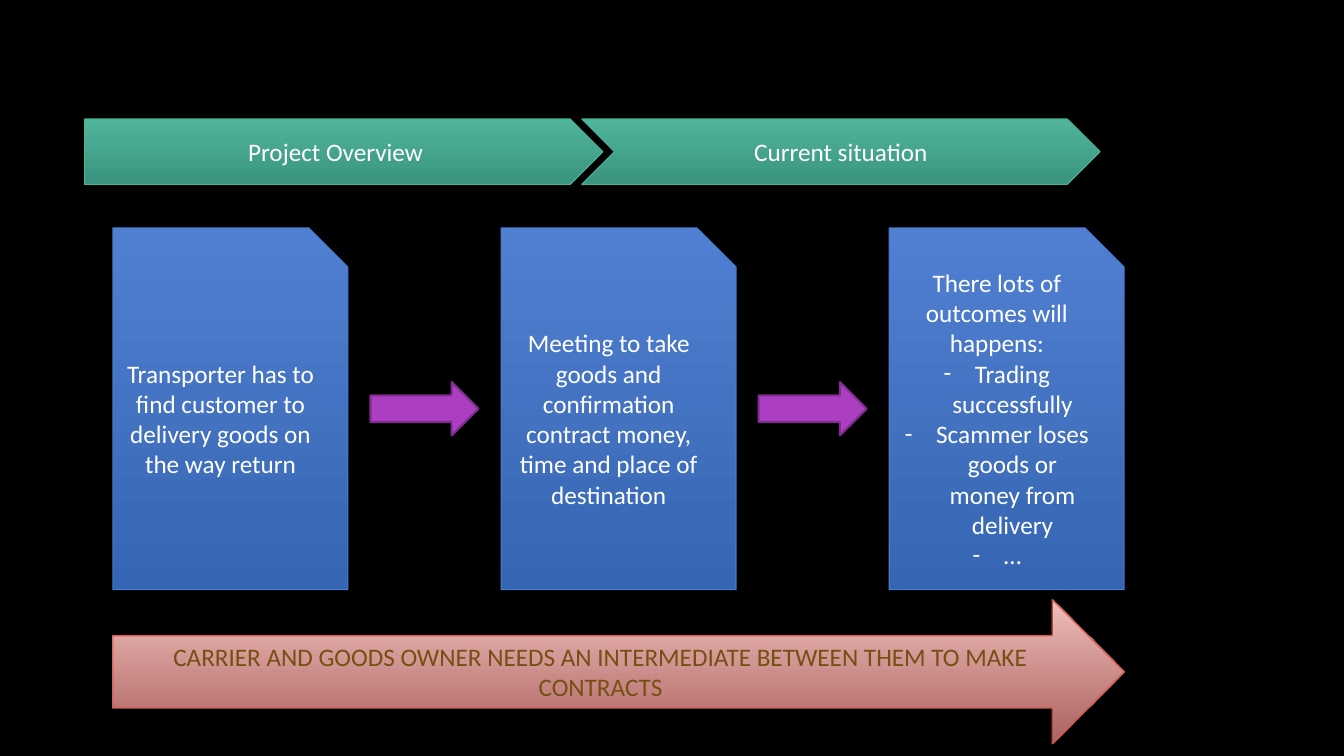
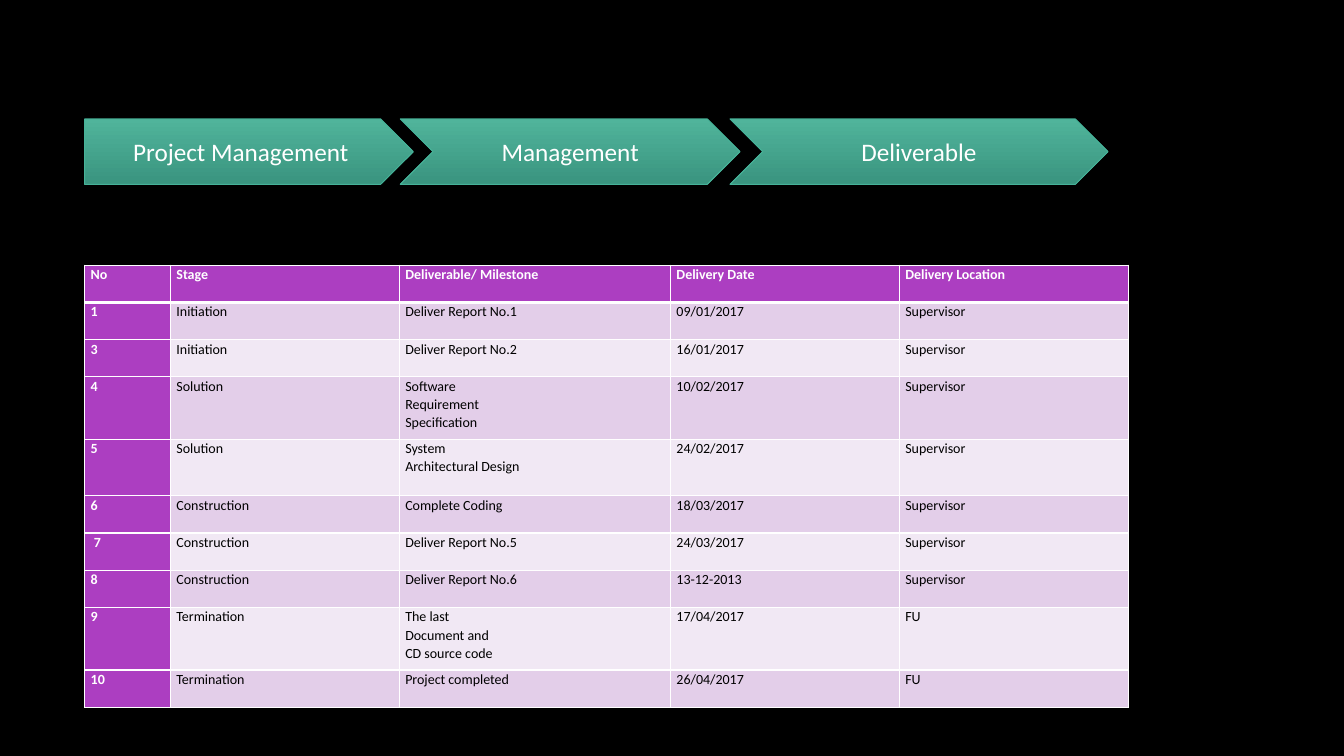
from lxml import etree
from pptx import Presentation
from pptx.dml.color import RGBColor
from pptx.enum import shapes, text
from pptx.oxml.ns import qn
from pptx.util import Inches, Pt

COLORS = {
    "back": "000000", "white": "FFFFFF", "black": "000000",
    "band_top": "50B49B", "band_low": "3A947F", "band_line": "46B298",
    "card_top": "5180D2", "card_low": "3665B3", "card_line": "477BD1",
    "need_top": "F2C2C0", "need_low": "E88985", "need_line": "E25247",
    "need_text": "745013", "purple": "AC3EC1", "purple_line": "7F2E8F",
    "odd": "E3CEE9", "even": "F1E8F4",
}
FONT = "Calibri"

OVERVIEW_BANDS = [("Project Overview", 0.84, 5.14), ("Current situation", 5.77, 5.14)]
MANAGEMENT_BANDS = [
    ("Project Management", 0.84, 3.26),
    ("Management", 3.97, 3.37),
    ("Deliverable", 7.24, 3.75),
]
CARDS = [
    ("Transporter has to find customer to delivery goods on the way return", []),
    ("Meeting to take goods and confirmation contract money, time and place of destination", []),
    ("There lots of outcomes will happens:",
     ["Trading successfully", "Scammer loses goods or money from delivery", "…"]),
]
NEED = "CARRIER AND GOODS OWNER NEEDS AN INTERMEDIATE BETWEEN THEM TO MAKE CONTRACTS"
MILESTONES = [
    ("No", "Stage", "Deliverable/ Milestone", "Delivery Date", "Delivery Location"),
    ("1", "Initiation", "Deliver Report No.1", "09/01/2017", "Supervisor"),
    ("3", "Initiation", "Deliver Report No.2", "16/01/2017", "Supervisor"),
    ("4", "Solution", "Software\nRequirement\nSpecification", "10/02/2017", "Supervisor"),
    ("5", "Solution", "System\nArchitectural Design", "24/02/2017", "Supervisor"),
    ("6", "Construction", "Complete Coding", "18/03/2017", "Supervisor"),
    (" 7", "Construction", "Deliver Report No.5", "24/03/2017", "Supervisor"),
    ("8", "Construction", "Deliver Report No.6", "13-12-2013", "Supervisor"),
    ("9", "Termination", "The last\nDocument and\nCD source code", "17/04/2017", "FU"),
    ("10", "Termination", "Project completed", "26/04/2017", "FU"),
]
COL_WIDTHS = [0.85, 2.27, 2.69, 2.27, 2.27]
ROW_HEIGHTS = {1: 0.37, 2: 0.56, 3: 0.62}

CARD_LEFT, CARD_TOP, CARD_W, CARD_H, CARD_STEP = 1.12, 2.26, 2.33, 3.59, 3.85
ARROW_W, ARROW_H = 1.07, 0.53


def rgb(name):
    """Return a palette colour."""
    return RGBColor.from_string(COLORS[name])


def style(p, size, color, bold=False):
    """Format every run of a paragraph."""
    for r in p.runs:
        for key, value in {"name": FONT, "size": Pt(size), "bold": bold}.items():
            setattr(r.font, key, value)
        r.font.color.rgb = rgb(color)


def add_block(slide, kind, box, fills, line, width=0.75):
    """Add a preset shape with a solid or top-to-bottom gradient fill."""
    sp = slide.shapes.add_shape(kind, *map(Inches, box))
    sp.shadow.inherit = False
    if len(fills) == 1:
        sp.fill.solid()
        sp.fill.fore_color.rgb = rgb(fills[0])
    else:
        sp.fill.gradient()
        sp.fill.gradient_angle = 270
        for stop, name in zip(sp.fill.gradient_stops, fills):
            stop.color.rgb = rgb(name)
    sp.line.color.rgb = rgb(line)
    sp.line.width = Pt(width)
    return sp


def write(sp, lines, color="white", bullets=False):
    """Write centred lines, with dashes from the second line on if asked."""
    tf = sp.text_frame
    tf.word_wrap = True
    tf.vertical_anchor = text.MSO_ANCHOR.MIDDLE
    tf.text = "\n".join(lines)
    for i, p in enumerate(tf.paragraphs):
        p.alignment = text.PP_ALIGN.CENTER
        style(p, 18, color)
        if bullets and i:
            ppr = p._p.get_or_add_pPr()
            ppr.set("marL", str(Inches(0.31)))
            ppr.set("indent", str(-Inches(0.31)))
            etree.SubElement(ppr, qn("a:buFont")).set("typeface", FONT)
            etree.SubElement(ppr, qn("a:buChar")).set("char", "-")


def add_bands(slide, bands):
    """Add the row of heading bands."""
    for i, (label, left, width) in enumerate(bands):
        kind = shapes.MSO_SHAPE.CHEVRON if i else shapes.MSO_SHAPE.PENTAGON
        sp = add_block(slide, kind, (left, 1.18, width, 0.65),
                       ("band_top", "band_low"), "band_line")
        write(sp, [label])


def add_slide(prs):
    """Add a blank slide with the shared background."""
    slide = prs.slides.add_slide(prs.slide_layouts[6])
    slide.background.fill.solid()
    slide.background.fill.fore_color.rgb = rgb("back")
    return slide


def add_border(tcpr, side, width):
    """Add one white cell border."""
    ln = etree.SubElement(tcpr, qn("a:" + side), w=str(Pt(width)))
    fill = etree.SubElement(ln, qn("a:solidFill"))
    etree.SubElement(fill, qn("a:srgbClr")).set("val", COLORS["white"])


def format_cell(cell, value, row, col):
    """Fill one cell of the milestone table."""
    head = row == 0 or col == 0
    margins = {"margin_left": 0.06, "margin_top": 0, "margin_right": 0.04, "margin_bottom": 0}
    for key, inches in margins.items():
        setattr(cell, key, Inches(inches))
    cell.text = value
    for p in cell.text_frame.paragraphs:
        p.line_spacing = 1.07
        style(p, 10, "white" if head else "black", head)
    tcpr = cell._tc.get_or_add_tcPr()
    widths = {"lnL": 1, "lnR": 1, "lnT": 3 if row == 1 else 1, "lnB": 1 if row else 3}
    for side, width in widths.items():
        add_border(tcpr, side, width)
    cell.fill.solid()
    cell.fill.fore_color.rgb = rgb("purple" if head else "odd" if row % 2 else "even")


def build_overview(prs):
    """Build the slide on the current situation."""
    slide = add_slide(prs)
    lefts = [CARD_LEFT + i * CARD_STEP for i in range(len(CARDS))]
    for left, (lead, points) in zip(lefts, CARDS):
        card = add_block(slide, shapes.MSO_SHAPE.SNIP_1_RECTANGLE,
                         (left, CARD_TOP, CARD_W, CARD_H),
                         ("card_top", "card_low"), "card_line")
        write(card, [lead, *points], bullets=True)
    gap = (CARD_STEP - CARD_W - ARROW_W) / 2
    for left in lefts[:-1]:
        add_block(slide, shapes.MSO_SHAPE.RIGHT_ARROW,
                  (left + CARD_W + gap, CARD_TOP + (CARD_H - ARROW_H) / 2, ARROW_W, ARROW_H),
                  ("purple",), "purple_line", 1.5)
    need = add_block(slide, shapes.MSO_SHAPE.RIGHT_ARROW,
                     (CARD_LEFT, 5.95, lefts[-1] + CARD_W - CARD_LEFT, 1.43),
                     ("need_top", "need_low"), "need_line")
    for clr in need._element.iter(qn("a:srgbClr")):
        if clr.get("val") == COLORS["need_low"]:
            etree.SubElement(clr, qn("a:alpha")).set("val", "74000")
    write(need, [NEED], "need_text")
    add_bands(slide, OVERVIEW_BANDS)


def build_management(prs):
    """Build the slide with the milestone table."""
    slide = add_slide(prs)
    heights = [ROW_HEIGHTS[row[2].count("\n") + 1] for row in MILESTONES]
    box = (0.84, 2.63, sum(COL_WIDTHS), sum(heights))
    table = slide.shapes.add_table(len(heights), len(COL_WIDTHS), *map(Inches, box)).table
    for column, width in zip(table.columns, COL_WIDTHS):
        column.width = Inches(width)
    for i, (height, values) in enumerate(zip(heights, MILESTONES)):
        table.rows[i].height = Inches(height)
        for j, value in enumerate(values):
            format_cell(table.cell(i, j), value, i, j)
    add_bands(slide, MANAGEMENT_BANDS)


prs = Presentation()
prs.slide_width, prs.slide_height = Inches(13.33), Inches(7.5)
build_overview(prs)
build_management(prs)
prs.save("out.pptx")
